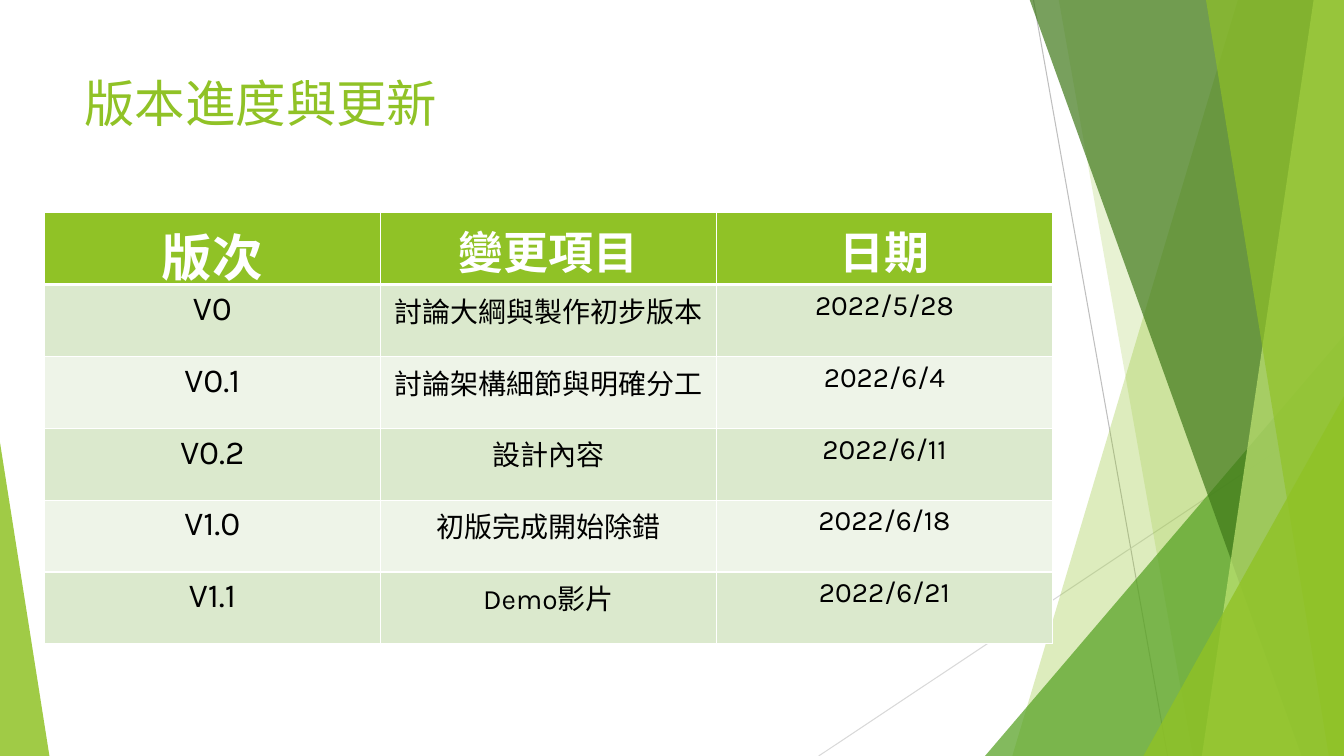
from lxml import etree
from pptx import Presentation
from pptx.dml.color import RGBColor
from pptx.enum.shapes import MSO_CONNECTOR as Connector, MSO_SHAPE as Shape
from pptx.enum.text import MSO_ANCHOR as Anchor, PP_ALIGN as Align
from pptx.oxml.ns import qn
from pptx.util import Inches, Pt

WIDTH, HEIGHT = 13.33, 7.5
LATIN_FONT, ASIAN_FONT = "Karla", "Noto Sans CJK SC"
COLORS = {
    "white": "FFFFFF", "black": "000000", "green": "90C226", "leaf": "54A021",
    "forest": "3F7819", "lime": "C0E474", "gray": "BFBFBF", "pale gray": "D9D9D9",
    "band dark": "DBE9CD", "band light": "EEF4E8",
}

TITLE = "版本進度與更新"
HEADER = ("版次", "變更項目", "日期")
VERSIONS = [
    ("V0", "討論大綱與製作初步版本", "2022/5/28"),
    ("V0.1", "討論架構細節與明確分工", "2022/6/4"),
    ("V0.2", "設計內容", "2022/6/11"),
    ("V1.0", "初版完成開始除錯", "2022/6/18"),
    ("V1.1", "Demo影片", "2022/6/21"),
]
HEADER_SIZES, BODY_SIZES = (36, 32, 32), (24, 20, 20)
TABLE_BOX = (0.44, 2.11, 10, 4.28)

# start x, start y, end x, end y, color
THIN_LINES = [
    (10.25, 0, 11.58, HEIGHT, "gray"),
    (WIDTH, 4.03, 8.12, HEIGHT, "pale gray"),
]
# Bands reach the right edge: top left x, bottom left x, color, opacity in percent
# Triangles stand on the bottom edge: left, top, width, apex, color, opacity
FACETS = [
    ("band", 12.28, 10.04, "green", 30),
    ("band", 10.5, 11.83, "green", 20),
    ("triangle", 9.77, 3.33, 3.56, 1, "leaf", 72),
    ("band", 10.21, 12.91, "forest", 70),
    ("band", 13.03, 11.92, "lime", 70),
    ("band", 11.96, 13.18, "green", 65),
    ("triangle", 11.34, 3.93, 1.99, 1, "green", 80),
    ("triangle", 0, 4.39, 0.49, 0, "green", 85),
]


def rgb(name):
    return RGBColor.from_string(COLORS[name])


def add_thin_line(slide, x1, y1, x2, y2, color):
    line = slide.shapes.add_connector(Connector.STRAIGHT, *map(Inches, (x1, y1, x2, y2)))
    line.line.color.rgb = rgb(color)
    line.line.width = Pt(0.75)
    etree.SubElement(line._element.spPr, qn("a:effectLst"))


def paint(shape, color, opacity):
    shape.shadow.inherit = False
    shape.line.fill.background()
    shape.fill.solid()
    shape.fill.fore_color.rgb = rgb(color)
    color_element = shape._element.spPr.find(".//" + qn("a:srgbClr"))
    etree.SubElement(color_element, qn("a:alpha"), val=str(opacity * 1000))


def add_band(slide, top_x, bottom_x, color, opacity):
    top = Inches(-0.01)
    builder = slide.shapes.build_freeform(Inches(top_x), top)
    builder.add_line_segments([
        (Inches(WIDTH), top), (Inches(WIDTH), Inches(HEIGHT)), (Inches(bottom_x), Inches(HEIGHT)),
    ])
    paint(builder.convert_to_shape(), color, opacity)


def add_triangle(slide, left, top, width, apex, color, opacity):
    box = map(Inches, (left, top, width, HEIGHT - top))
    triangle = slide.shapes.add_shape(Shape.ISOSCELES_TRIANGLE, *box)
    triangle.adjustments[0] = apex
    paint(triangle, color, opacity)


def style_paragraph(paragraph, size, color, latin, bold=False):
    font = paragraph.font
    font.size, font.bold, font.name = Pt(size), bold, latin
    font.color.rgb = rgb(color)
    properties = paragraph._p.pPr.find(qn("a:defRPr"))
    etree.SubElement(properties, qn("a:ea"), typeface=ASIAN_FONT)


def add_title(slide):
    title = slide.shapes.add_textbox(*map(Inches, (0.74, 0.67, 9.4, 1.44)))
    title.text_frame.word_wrap = True
    title.text_frame.vertical_anchor = Anchor.TOP
    title.text_frame.text = TITLE
    style_paragraph(title.text_frame.paragraphs[0], 36, "green", ASIAN_FONT)


def set_borders(cell, bottom_width, top_width):
    properties = cell._tc.get_or_add_tcPr()
    widths = {"lnL": 1, "lnR": 1, "lnT": top_width, "lnB": bottom_width}
    for position, (side, width) in enumerate(widths.items()):
        border = etree.Element(qn("a:" + side), w=str(Pt(width)))
        fill = etree.SubElement(border, qn("a:solidFill"))
        etree.SubElement(fill, qn("a:srgbClr"), val=COLORS["white"])
        properties.insert(position, border)


def add_version_table(slide):
    rows = [HEADER, *VERSIONS]
    table = slide.shapes.add_table(len(rows), len(HEADER), *map(Inches, TABLE_BOX)).table
    for column in table.columns:
        column.width = Inches(TABLE_BOX[2] / len(HEADER))
    for row_index, texts in enumerate(rows):
        table.rows[row_index].height = Inches(TABLE_BOX[3] / len(rows))
        is_header = row_index == 0
        fill = "green" if is_header else ("band light", "band dark")[row_index % 2]
        sizes = HEADER_SIZES if is_header else BODY_SIZES
        for column_index, (text, size) in enumerate(zip(texts, sizes)):
            cell = table.cell(row_index, column_index)
            cell.text = text
            cell.fill.solid()
            cell.fill.fore_color.rgb = rgb(fill)
            set_borders(cell, 3 if is_header else 1, 3 if row_index == 1 else 1)
            paragraph = cell.text_frame.paragraphs[0]
            paragraph.alignment = Align.CENTER
            style_paragraph(paragraph, size, "white" if is_header else "black", LATIN_FONT, is_header)


def main():
    presentation = Presentation()
    presentation.slide_width, presentation.slide_height = Inches(WIDTH), Inches(HEIGHT)
    slide = presentation.slides.add_slide(presentation.slide_layouts[6])
    for line in THIN_LINES:
        add_thin_line(slide, *line)
    add_facet = {"band": add_band, "triangle": add_triangle}
    for kind, *values in FACETS:
        add_facet[kind](slide, *values)
    add_title(slide)
    add_version_table(slide)
    presentation.save("out.pptx")


if __name__ == "__main__":
    main()
